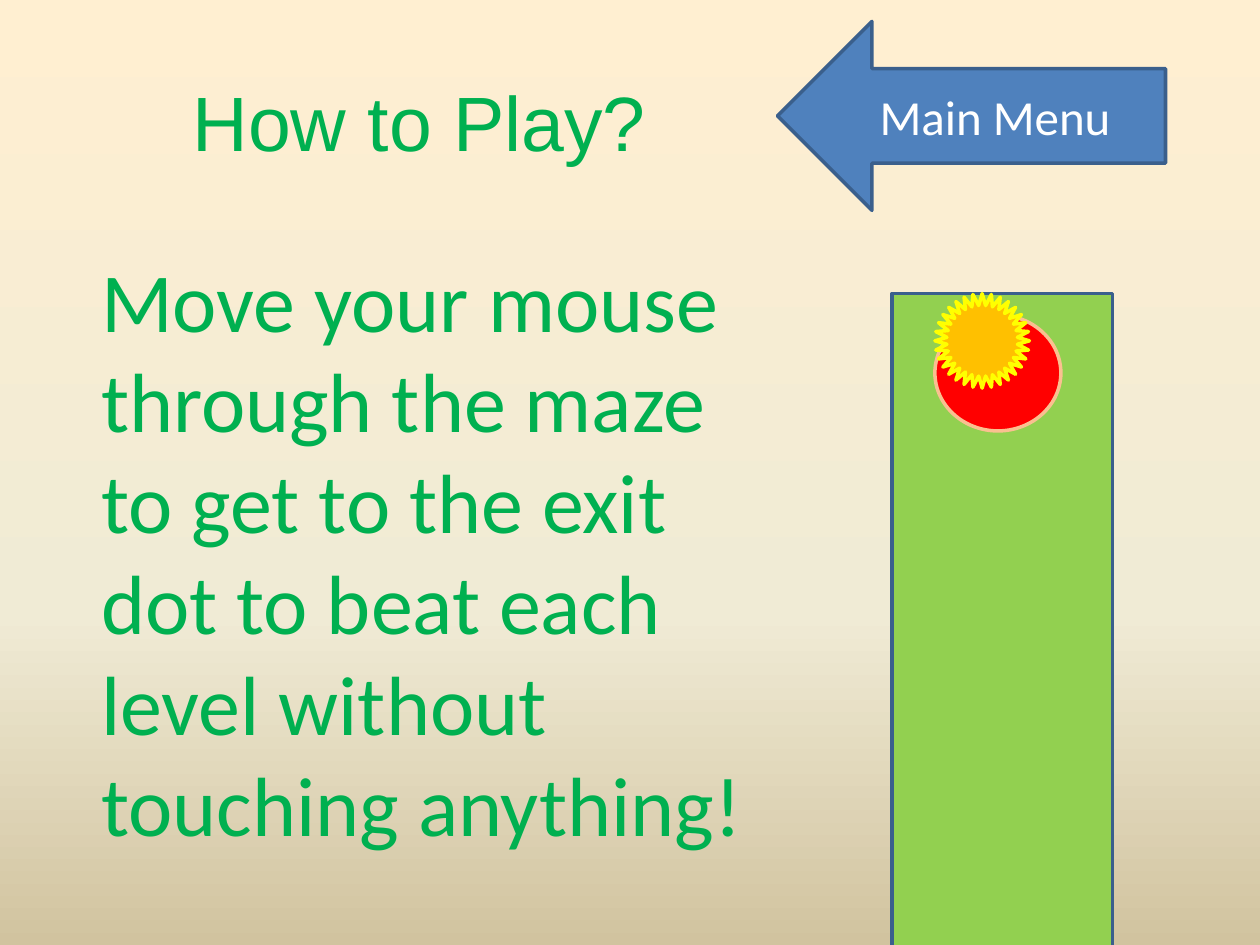
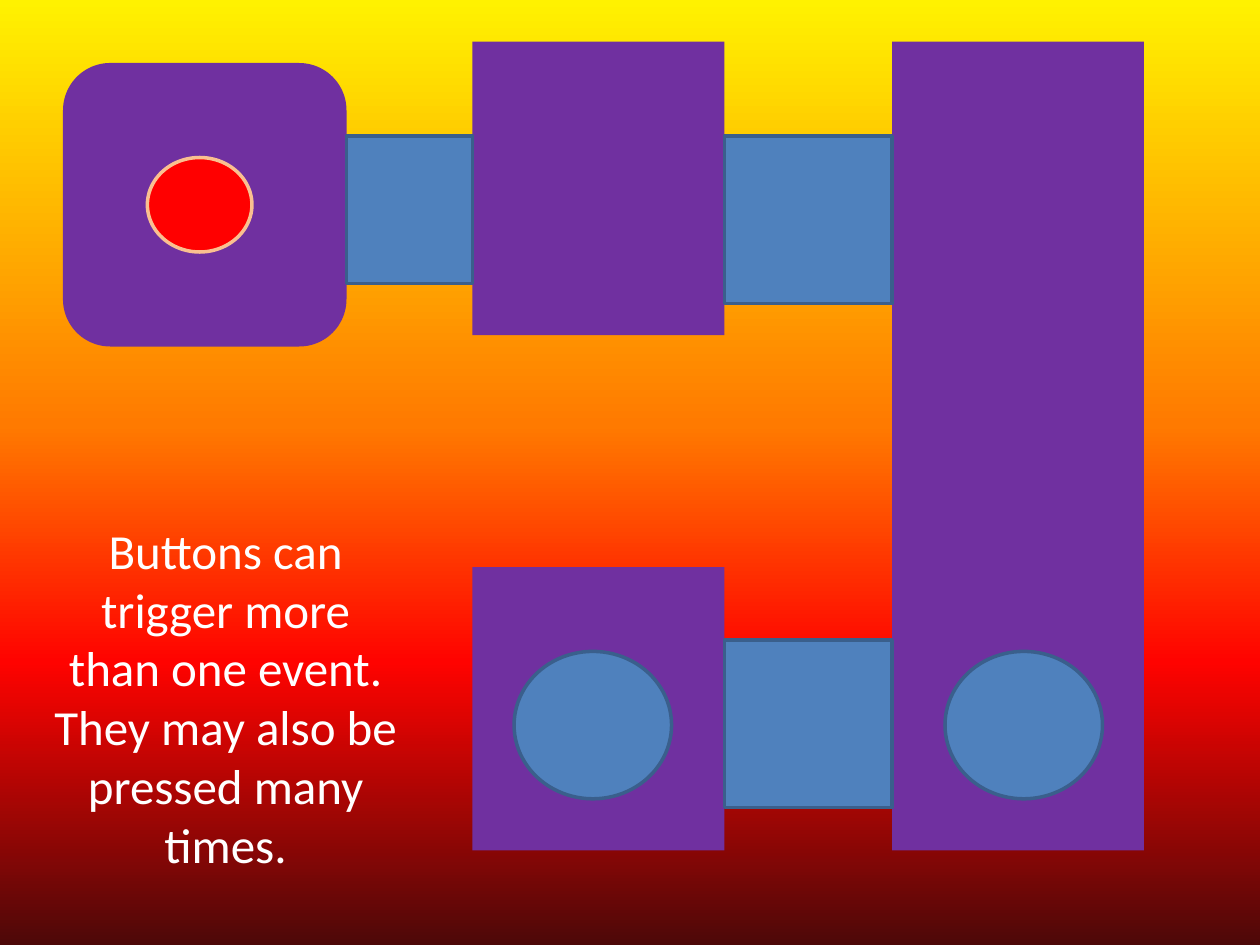
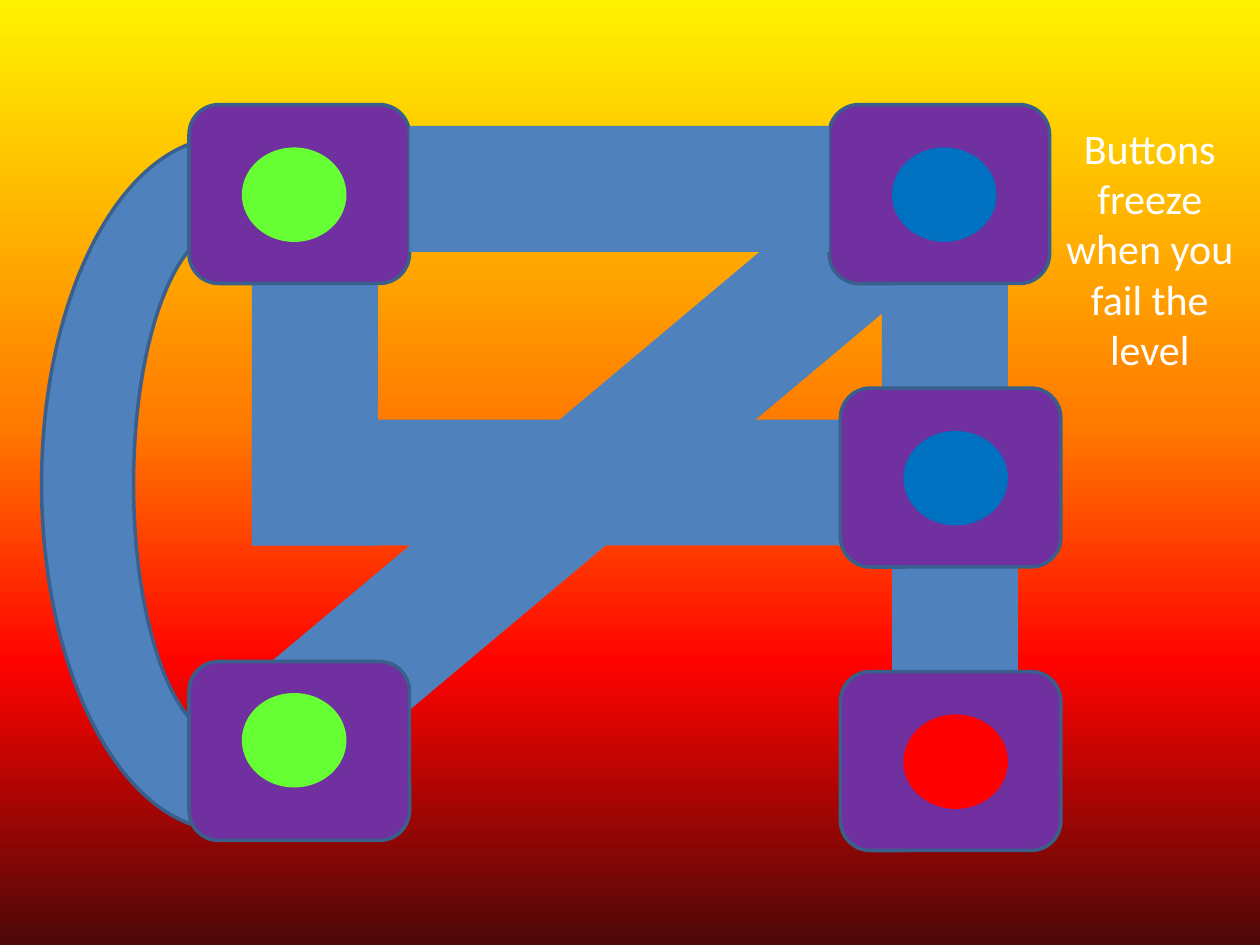
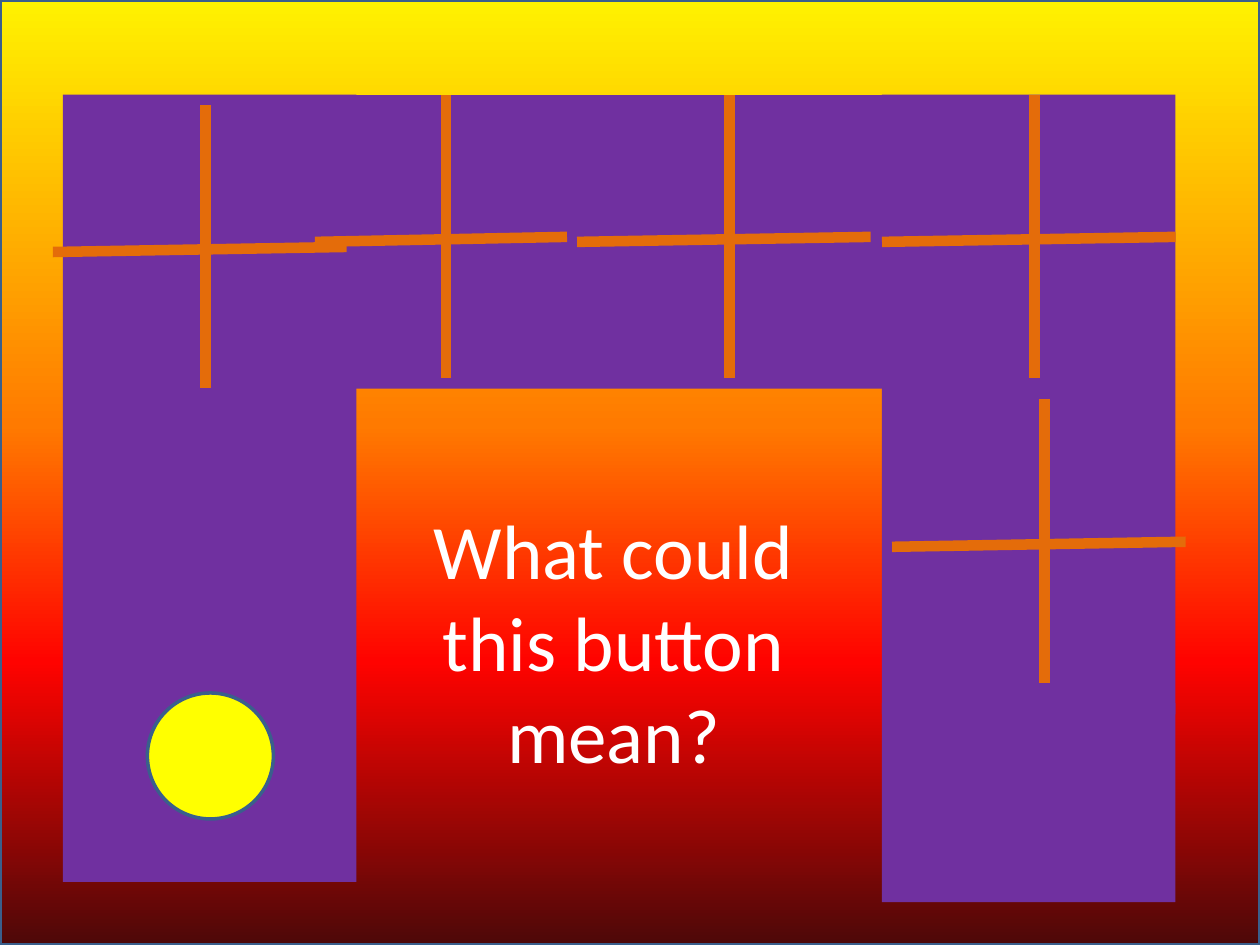
from lxml.etree import SubElement
from pptx import Presentation
from pptx.dml.color import RGBColor as Rgb
from pptx.enum.shapes import MSO_CONNECTOR as Link, MSO_SHAPE as Kind
from pptx.enum.text import MSO_ANCHOR as Anchor, MSO_AUTO_SIZE as Auto, PP_ALIGN as Align
from pptx.oxml.ns import qn
from pptx.util import Cm, Pt

HUE = {
    "blue": "4F81BD", "edge": "3A5F8C", "plum": "7030A0", "red": "FF0000",
    "peach": "FAC090", "lime": "66FF33", "sea": "0070C0", "leaf": "00B050",
    "grass": "92D050", "gold": "FFC000", "sun": "FFFF00", "rust": "E46C0A",
    "white": "FFFFFF",
}
SAND = [(0, "FFEFD1"), (65, "F0EBD5"), (100, "D1C39F")]
FIRE = [(0, "FFF200"), (45, "FF7A00"), (70, "FF0300"), (100, "4D0808")]
FULL = (0, 0, 10, 7.5)
TITLE, BLANK = 5, 6


# Shared helpers: boxes are counted in grid squares of 2.54 cm
def grid(*nums):
    return [Cm(2.54 * n) for n in nums]


def tint(name):
    return Rgb.from_string(HUE[name])


def ramp(fill, node, stops):
    """Fill from top to bottom with the given colour stops."""
    fill.gradient()
    fill.gradient_angle = 270
    items = next(node.iter(qn("a:gsLst")))
    for old in list(items):
        items.remove(old)
    for pos, code in stops:
        stop = SubElement(items, qn("a:gs"), pos=str(pos * 1000))
        SubElement(stop, qn("a:srgbClr"), val=code)


def draw(slide, kind, box, fill, line=None, turn=0):
    shape = slide.shapes.add_shape(kind, *grid(*box))
    shape.shadow.inherit = False
    shape.rotation = turn
    if isinstance(fill, list):
        ramp(shape.fill, shape.element, fill)
    else:
        shape.fill.solid()
        shape.fill.fore_color.rgb = tint(fill)
    if line:
        shape.line.color.rgb = tint(line)
        shape.line.width = Pt(2)
    else:
        shape.line.fill.background()
    return shape


def write(shape, text, size, hue="white", font="Calibri", align=Align.CENTER,
          anchor=Anchor.MIDDLE):
    frame = shape.text_frame
    frame.word_wrap = True
    frame.vertical_anchor = anchor
    frame.text = text
    para = frame.paragraphs[0]
    para.alignment = align
    face = para.runs[0].font
    face.size, face.name, face.color.rgb = Pt(size), font, tint(hue)
    return para


def note(slide, box, text, size, **style):
    shape = slide.shapes.add_textbox(*grid(*box))
    para = write(shape, text, size, anchor=Anchor.TOP, **style)
    shape.text_frame.auto_size = Auto.SHAPE_TO_FIT_TEXT
    return para


def head(slide, box, text, **style):
    title = slide.shapes.title
    title.left, title.top, title.width, title.height = grid(*box)
    write(title, text, 44, **style)
    title.text_frame.auto_size = Auto.NONE


def stroke(slide, ends):
    line = slide.shapes.add_connector(Link.STRAIGHT, *grid(*ends))
    line.line.color.rgb = tint("rust")
    line.line.width = Pt(6)
    SubElement(line.element.spPr, qn("a:effectLst"))


# Regions
def lane(slide, box):
    """Sample maze lane with its exit dot and player star."""
    x, y = box[:2]
    draw(slide, Kind.RECTANGLE, box, "grass", "edge")
    draw(slide, Kind.OVAL, (x + .34, y + .17, 1, .92), "red", "peach")
    draw(slide, Kind.STAR_32_POINT, (x + .34, y, .75, .75), "gold", "sun")


def room(slide, box, dot, shift):
    """Rounded room with a button inside."""
    x, y = box
    draw(slide, Kind.ROUNDED_RECTANGLE, (x, y, 1.75, 1.42), "plum", "edge")
    draw(slide, Kind.OVAL, (x + shift[0], y + shift[1], .83, .75), dot)


def cross(slide, box):
    """Upright bar and a slightly rising bar across it."""
    x, y, wide, tall = box
    stem, mid = x + .52 * wide, y + 1.17
    stroke(slide, (stem, y + tall, stem, y))
    stroke(slide, (x, mid, x + wide, mid - .04))


# Slides
def rules(slide, box):
    x, y = box[:2]
    ramp(slide.background.fill, slide.element, SAND)
    head(slide, (x - 1.17, y + .33, 9, 1.25), "How to Play?", hue="leaf", font="Arial")
    para = note(slide, (x + .33, y + 1.92, 6, 4.95),
                "Move your mouse through the maze to get to the exit dot "
                "to beat each level without touching anything!",
                48, hue="leaf", align=Align.LEFT)
    para.space_before = Pt(2)
    para._p.get_or_add_pPr().set("marL", str(Cm(.95)))
    arrow = draw(slide, Kind.LEFT_ARROW, (x + 6.17, y + .17, 3.08, 1.5), "blue", "edge")
    write(arrow, "Main Menu", 28)
    lane(slide, (x + 7.08, y + 2.33, 1.75, 5.58))


def events(slide, box):
    x, y = box[:2]
    ramp(slide.background.fill, slide.element, FIRE)
    # Rooms
    for left, top, tall in [(7.08, .33, 6.42), (3.75, .33, 2.33), (3.75, 4.5, 2.25)]:
        draw(slide, Kind.RECTANGLE, (x + left, y + top, 2, tall), "plum")
    draw(slide, Kind.ROUNDED_RECTANGLE, (x + .5, y + .5, 2.25, 2.25), "plum")
    # Exit dot and buttons
    draw(slide, Kind.OVAL, (x + 1.17, y + 1.25, .83, .75), "red", "peach")
    for left in (7.5, 4.08):
        draw(slide, Kind.OVAL, (x + left, y + 5.17, 1.25, 1.17), "blue", "edge")
    # Doors
    for left, top, wide, tall in [(5.75, 1.08, 1.33, 1.33), (2.75, 1.08, 1, 1.17),
                                  (5.75, 5.08, 1.33, 1.33)]:
        draw(slide, Kind.RECTANGLE, (x + left, y + top, wide, tall), "blue", "edge")
    note(slide, (x + .33, y + 4.08, 2.92, 2.93),
         "Buttons can trigger more than one event. "
         "They may also be pressed many times.", 28)


def freeze(slide, box):
    x, y = box[:2]
    draw(slide, Kind.RECTANGLE, box, FIRE)
    # Paths
    for left, top, wide, turn in [(1, 2.33, 3, 270), (2, 3.33, 4.67, 0),
                                  (1.7, 3.25, 6.04, 320), (6.08, 4.33, 3, 270),
                                  (6, 2.5, 3, 270)]:
        draw(slide, Kind.RECTANGLE, (x + left, y + top, wide, 1), "blue", turn=turn)
    draw(slide, Kind.BLOCK_ARC, (x - .96, y + 2.38, 5.5, 2.92), "blue", "edge", 270)
    # Rooms
    for left, top, dot, shift in [(6.58, .83, "sea", (.5, .34)),
                                  (6.67, 5.33, "red", (.5, .34)),
                                  (6.67, 3.08, "sea", (.5, .34)),
                                  (1.5, .83, "lime", (.42, .34)),
                                  (1.5, 5.25, "lime", (.42, .25))]:
        room(slide, (x + left, y + top), dot, shift)
    draw(slide, Kind.RECTANGLE, (x + 3.25, y + 1, 3.33, 1), "blue")
    note(slide, (x + 8.25, y + .92, 1.75, 2.12),
         "Buttons freeze when you fail the level", 24)


def puzzle(slide, box):
    x, y = box[:2]
    back = draw(slide, Kind.RECTANGLE, box, FIRE, "edge")
    slide.shapes.title.element.addprevious(back.element)
    head(slide, (x + 3.08, y + 3.5, 3.58, 3.17), "What could this button mean?")
    # Walls
    for left, top, tall, turn in [(7, 5.58, 1.58, 0), (7, .75, 4.92, 0),
                                  (3.54, -.54, 4.92, 270), (.5, .75, 6.25, 0)]:
        draw(slide, Kind.RECTANGLE, (x + left, y + top, 2.33, tall), "plum", turn=turn)
    draw(slide, Kind.OVAL, (x + 1.17, y + 5.5, 1, 1), "sun", "edge")
    # Window bars
    for left, top, wide in [(7.08, 3.17, 2.33), (7, .75, 2.33), (4.58, .75, 2.33),
                            (2.5, .75, 2), (.42, .83, 2.33)]:
        cross(slide, (x + left, y + top, wide, 2.25))


deck = Presentation()
deck.slide_width, deck.slide_height = grid(*FULL[2:])
for build, plan in [(rules, TITLE), (events, BLANK), (freeze, BLANK), (puzzle, TITLE)]:
    build(deck.slides.add_slide(deck.slide_layouts[plan]), FULL)
deck.save("out.pptx")
